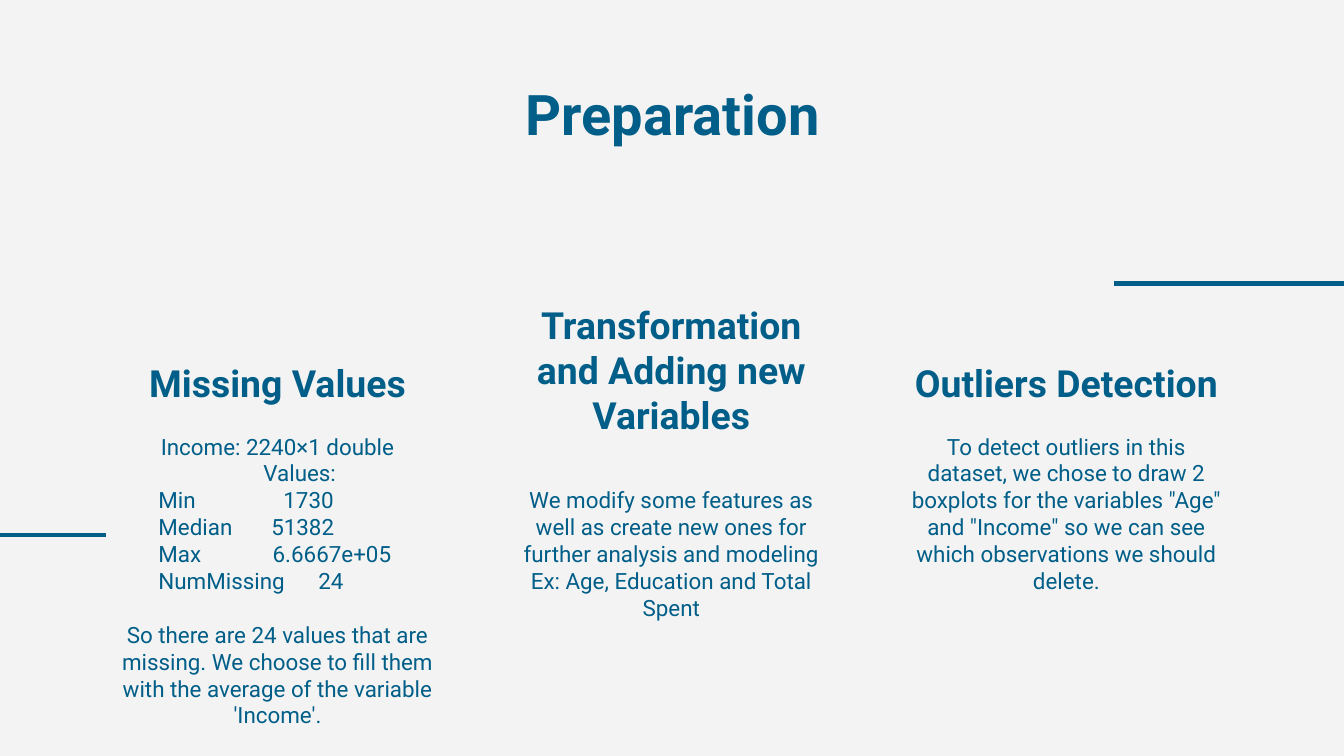
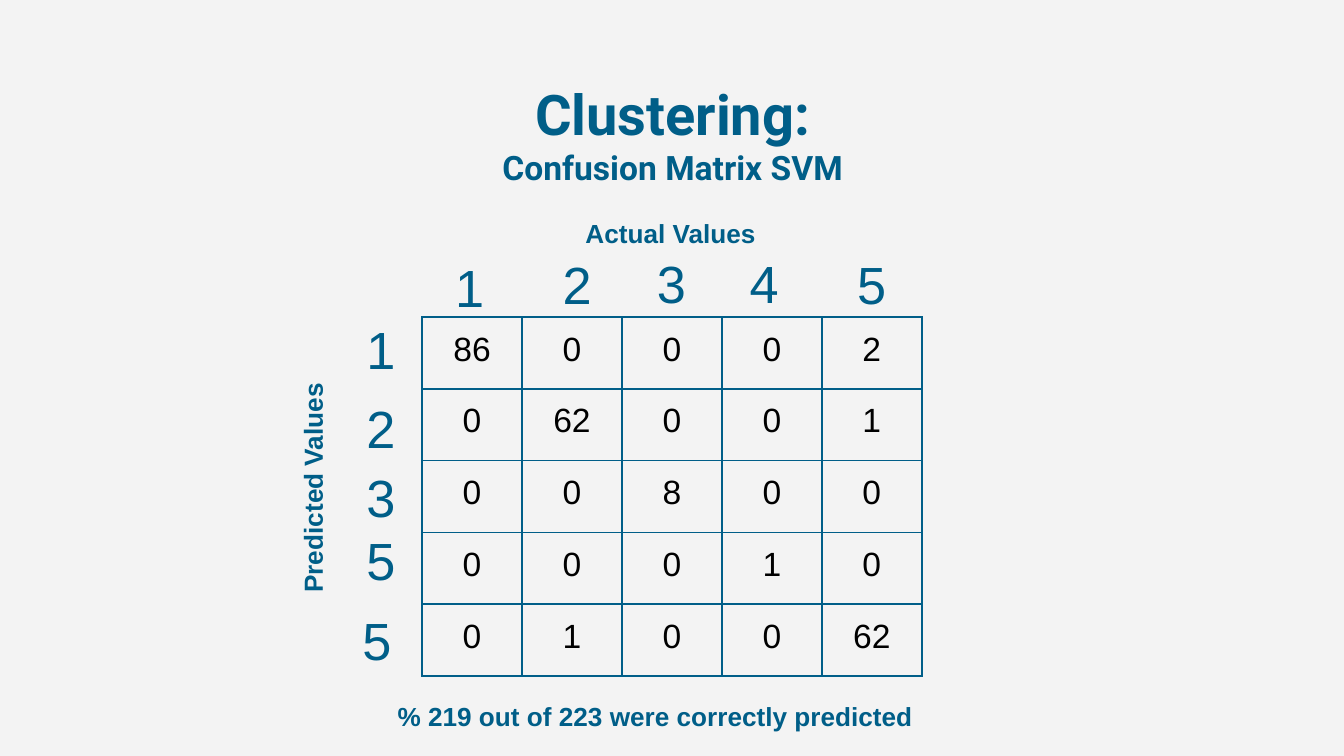
from lxml.etree import SubElement
from pptx import Presentation
from pptx.dml.color import RGBColor
from pptx.enum.shapes import MSO_CONNECTOR
from pptx.enum.text import MSO_ANCHOR, MSO_AUTO_SIZE, PP_ALIGN
from pptx.oxml import parse_xml
from pptx.oxml.ns import nsdecls, qn
from pptx.util import Inches, Pt

BLUE = "005E88"
BLACK = "000000"
PAPER = "F3F3F3"


def color(hex_value):
    return RGBColor.from_string(hex_value)


def write(box, text, size, name="Roboto", bold=False, anchor=MSO_ANCHOR.TOP, inset=0.1):
    frame = box.text_frame
    frame.word_wrap = True
    frame.auto_size = MSO_AUTO_SIZE.NONE
    frame.vertical_anchor = anchor
    frame.margin_top = frame.margin_bottom = Inches(inset)
    frame.text = text
    for para in frame.paragraphs:
        para.alignment = PP_ALIGN.CENTER
        para.font.name = name
        para.font.size = Pt(size)
        para.font.bold = bold
        para.font.color.rgb = color(BLUE)
    return frame.paragraphs


# Widescreen deck, 16 to 9
deck = Presentation()
deck.slide_width = Inches(10)
deck.slide_height = Inches(10 * 9 / 16)

# Shared background and title position
background = deck.slide_master.background.fill
background.solid()
background.fore_color.rgb = color(PAPER)
layout = deck.slide_layouts.get_by_name("Title Only")
layout_title = layout.placeholders[0]
layout_title.left, layout_title.top = Inches(0.79), Inches(0.49)
layout_title.width, layout_title.height = Inches(8.43), Inches(0.63)

# Slide 1: preparation steps
page = deck.slides.add_slide(layout)
write(page.shapes.title, "Preparation", 30, bold=True)

statistics = [
    ("Min", "1730", 1.22),
    ("Median", "51382", 1.13),
    ("Max", "6.6667e+05", 1.14),
    ("NumMissing", "24", 1.48),
]
missing_values = "\n".join(
    ["Income: 2240×1 double", "Values:"]
    + [f"\t{label}\t{value}" for label, value, stop in statistics]
    + ["So there are 24 values that are missing. We choose to fill them "
       "with the average of the variable 'Income'."]
)
transformation = (
    "We modify some features as well as create new ones for further analysis and modeling\n"
    "Ex: Age, Education and Total Spent"
)
outliers = (
    "To detect outliers in this dataset, we chose to draw 2 boxplots for the variables "
    '"Age" and "Income" so we can see which observations we should delete.'
)
columns = [
    (0.79, "Missing Values", 2.57, missing_values, 3.12),
    (3.72, "Transformation and Adding new Variables", 2.81, transformation, 3.52),
    (6.66, "Outliers Detection", 2.57, outliers, 3.12),
]
bodies = []
for left, heading, heading_top, body, body_top in columns:
    box = page.shapes.add_textbox(Inches(left), Inches(heading_top), Inches(2.55), Inches(0.54))
    write(box, heading, 20, bold=True, anchor=MSO_ANCHOR.BOTTOM)
    box = page.shapes.add_textbox(
        Inches(left), Inches(body_top), Inches(2.55), Inches(4.86 - body_top))
    bodies.append(write(box, body, 12))

# Statistics lines aligned by tab stops
paras = bodies[0]
paras[1]._p.get_or_add_pPr().set("marL", str(Inches(0.33)))
for para, (label, value, stop) in zip(paras[2:6], statistics):
    para.alignment = PP_ALIGN.LEFT
    tabs = parse_xml(f"<a:tabLst {nsdecls('a')}/>")
    for position in (0.29, stop):
        SubElement(tabs, qn("a:tab"), pos=str(Inches(position)), algn="l")
    para._p.get_or_add_pPr().insert(0, tabs)
paras[6].space_before = Pt(14.4)

# Side rules
for start, end, height in [(0, 0.79, 3.98), (8.29, 10, 2.11)]:
    rule = page.shapes.add_connector(
        MSO_CONNECTOR.STRAIGHT, Inches(start), Inches(height), Inches(end), Inches(height))
    rule.line.color.rgb = color(BLUE)
    rule.line.width = Pt(2.25)
    SubElement(rule._element.spPr, qn("a:effectLst"))

# Slide 2: confusion matrix
page = deck.slides.add_slide(layout)
title_paras = write(page.shapes.title, "Clustering:\vConfusion Matrix SVM", 30, bold=True)
title_paras[0].runs[1].font.size = Pt(18)

matrix = [
    [86, 0, 0, 0, 2],
    [0, 62, 0, 0, 1],
    [0, 0, 8, 0, 0],
    [0, 0, 0, 1, 0],
    [0, 1, 0, 0, 62],
]
table = page.shapes.add_table(
    5, 5, Inches(3.14), Inches(2.36), Inches(3.72), Inches(2.67)).table
table.first_row = False
table.horz_banding = False
for row, counts in zip(table.rows, matrix):
    for cell, count in zip(row.cells, counts):
        cell.margin_left = cell.margin_right = Inches(0.1)
        cell.margin_top = cell.margin_bottom = Inches(0.1)
        cell.text = str(count)
        para = cell.text_frame.paragraphs[0]
        para.alignment = PP_ALIGN.CENTER
        para.font.name = "Arial"
        para.font.size = Pt(18)
        para.font.color.rgb = color(BLACK)
        properties = cell._tc.get_or_add_tcPr()
        for side in ("lnL", "lnR", "lnT", "lnB"):
            border = SubElement(properties, qn(f"a:{side}"), w=str(Pt(1)))
            fill = SubElement(border, qn("a:solidFill"))
            SubElement(fill, qn("a:srgbClr"), val=BLUE)
        cell.fill.background()

# Class numbers beside and above the matrix
row_labels = [("1", 2.41, 2.31), ("2", 2.41, 2.9), ("3", 2.41, 3.41),
              ("5", 2.41, 3.88), ("5", 2.38, 4.48)]
column_labels = [("1", 3.07, 1.85), ("2", 3.87, 1.83), ("3", 4.57, 1.82),
                 ("4", 5.26, 1.82), ("5", 6.06, 1.83)]
for number, left, top in row_labels + column_labels:
    box = page.shapes.add_textbox(Inches(left), Inches(top), Inches(0.85), Inches(0.57))
    write(box, number, 28, name="Arial", inset=0.05)

# Axis captions and result
captions = [
    ("% 219 out of 223 were correctly predicted", 2.86, 5.16, 5, 0, PP_ALIGN.LEFT),
    ("Actual Values", 2.49, 1.57, 5, 0, PP_ALIGN.CENTER),
    ("Predicted Values", 0.15, 3.46, 4.36, 270, PP_ALIGN.CENTER),
]
for text, left, top, width, rotation, alignment in captions:
    box = page.shapes.add_textbox(Inches(left), Inches(top), Inches(width), Inches(0.34))
    box.rotation = rotation
    write(box, text, 14, name="Arial", bold=True, inset=0.05)[0].alignment = alignment

deck.save("out.pptx")
